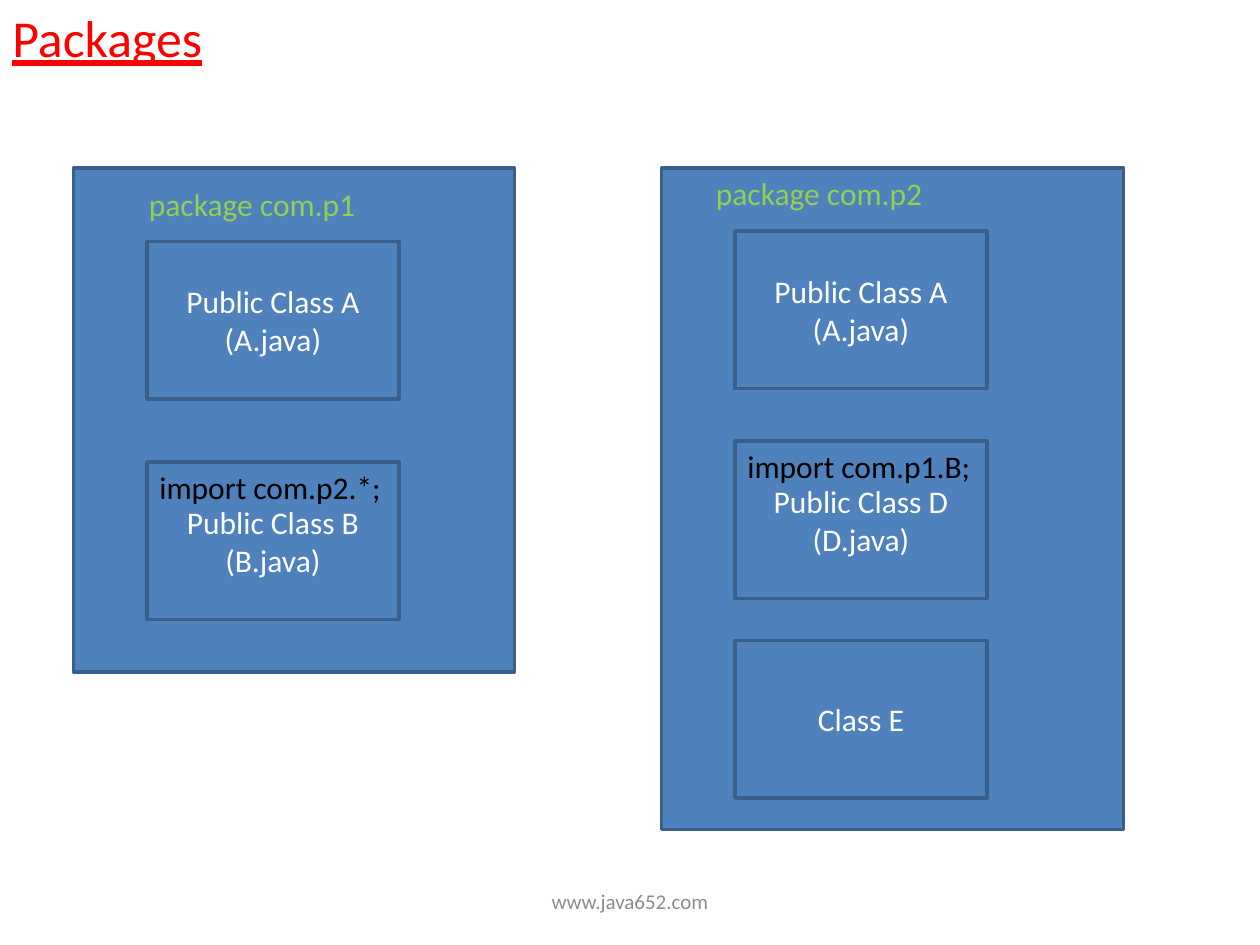
from dataclasses import dataclass

from pptx import Presentation
from pptx.dml.color import RGBColor
from pptx.enum.shapes import MSO_SHAPE
from pptx.enum.text import MSO_ANCHOR as Anchor, MSO_AUTO_SIZE as AutoSize, PP_ALIGN as Align
from pptx.util import Pt


@dataclass(frozen=True)
class Theme:
    font: str = "Calibri"
    title_size: float = 29.6
    body_size: float = 18
    footer_size: float = 12
    title: str = "FF0000"
    fill: str = "4F81BD"
    outline: str = "3A5F8C"
    class_text: str = "FFFFFF"
    package_text: str = "92D050"
    import_text: str = "000000"
    footer: str = "8C8C8C"


THEME = Theme()
CLASS_WIDTH, CLASS_HEIGHT = 144, 90
LABEL_HEIGHT = 29

PACKAGES = [
    {
        "box": (42, 96, 252, 288),
        "label": "package com.p1",
        "label_offset": (36, 6),
        "classes": [
            (42, "Public Class A\n(A.java)", None),
            (168, "Public Class B\n(B.java)", "import com.p2.*;"),
        ],
    },
    {
        "box": (378, 96, 264, 378),
        "label": "package com.p2",
        "label_offset": (24, 0),
        "classes": [
            (36, "Public Class A\n(A.java)", None),
            (156, "Public Class D\n(D.java)", "import com.p1.B;"),
            (270, "Class E", None),
        ],
    },
]


def write_text(text_frame, text, size, color, align, anchor):
    text_frame.word_wrap = True
    text_frame.vertical_anchor = anchor
    text_frame.text = text
    for paragraph in text_frame.paragraphs:
        paragraph.alignment = align
        for run in paragraph.runs:
            run.font.name = THEME.font
            run.font.size = Pt(size)
            run.font.color.rgb = RGBColor.from_string(color)


def add_text(slide, box, text, size, color, align=Align.LEFT, anchor=Anchor.TOP):
    shape = slide.shapes.add_textbox(*map(Pt, box))
    write_text(shape.text_frame, text, size, color, align, anchor)
    return shape


def add_label(slide, box, text, color):
    shape = add_text(slide, box, text, THEME.body_size, color)
    shape.text_frame.auto_size = AutoSize.SHAPE_TO_FIT_TEXT


def add_rectangle(slide, box):
    shape = slide.shapes.add_shape(MSO_SHAPE.RECTANGLE, *map(Pt, box))
    shape.shadow.inherit = False
    shape.fill.solid()
    shape.fill.fore_color.rgb = RGBColor.from_string(THEME.fill)
    shape.line.color.rgb = RGBColor.from_string(THEME.outline)
    shape.line.width = Pt(2)
    return shape


def add_title(slide, box):
    shape = add_text(slide, box, "Packages", THEME.title_size, THEME.title, Align.JUSTIFY)
    shape.text_frame.paragraphs[0].runs[0].font.underline = True


def add_class(slide, box, text, import_line):
    shape = add_rectangle(slide, box)
    write_text(shape.text_frame, text, THEME.body_size, THEME.class_text,
               Align.CENTER, Anchor.MIDDLE)
    if import_line:
        left, top, width, _ = box
        add_label(slide, (left, top, width + 6, LABEL_HEIGHT), import_line, THEME.import_text)


def add_package(slide, box, label, label_offset, classes):
    left, top, _, _ = box
    add_rectangle(slide, box)
    label_left, label_top = label_offset
    add_label(slide, (left + label_left, top + label_top, 216, LABEL_HEIGHT),
              label, THEME.package_text)
    for offset, text, import_line in classes:
        class_box = (left + 42, top + offset, CLASS_WIDTH, CLASS_HEIGHT)
        add_class(slide, class_box, text, import_line)


def add_footer(slide, box):
    add_text(slide, box, "www.java652.com", THEME.footer_size, THEME.footer,
             Align.CENTER, Anchor.MIDDLE)


def main():
    presentation = Presentation()
    presentation.slide_width, presentation.slide_height = Pt(720), Pt(540)
    slide = presentation.slides.add_slide(presentation.slide_layouts[6])
    add_title(slide, (0, 0, 678, 36))
    for package in PACKAGES:
        add_package(slide, **package)
    add_footer(slide, (246, 500.5, 228, 28.75))
    presentation.save("out.pptx")


if __name__ == "__main__":
    main()
